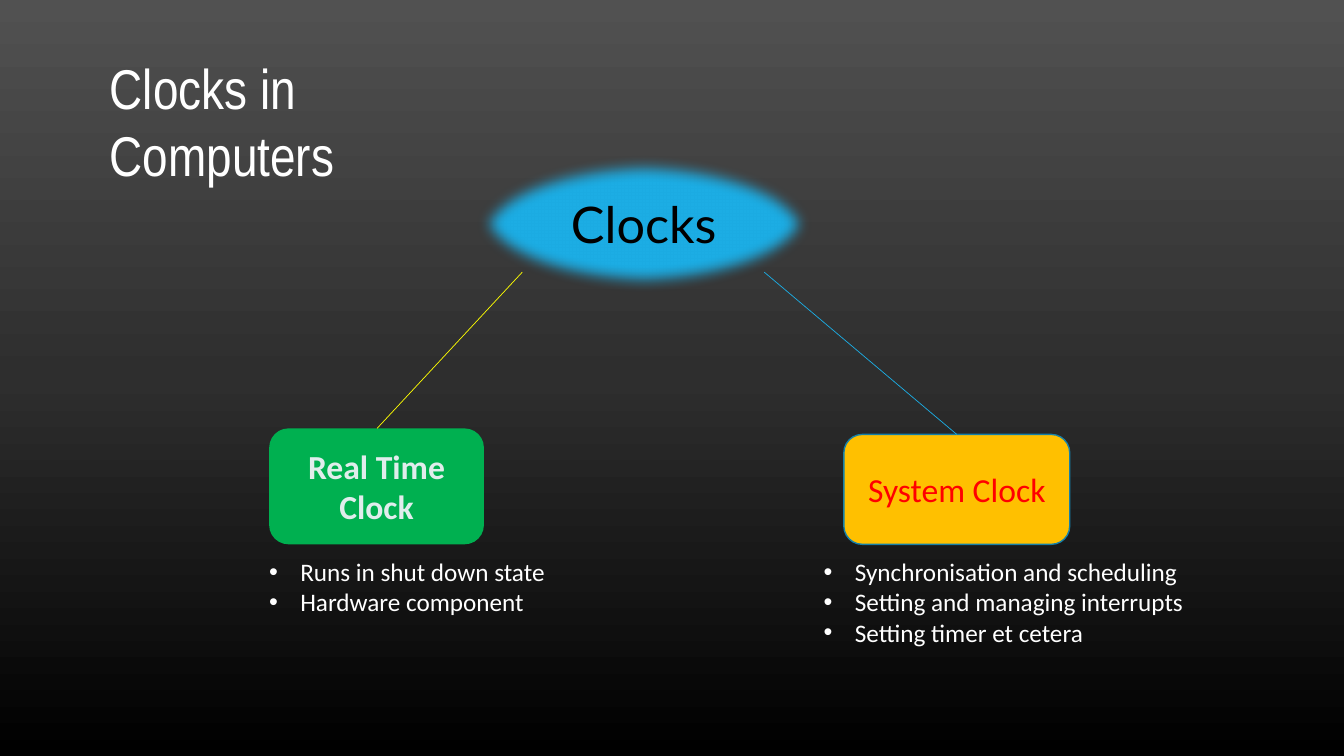
from copy import deepcopy
from dataclasses import dataclass

from lxml import etree
from pptx import Presentation
from pptx.dml.color import RGBColor
from pptx.enum.shapes import MSO_CONNECTOR, MSO_SHAPE
from pptx.enum.text import MSO_ANCHOR, PP_ALIGN
from pptx.oxml.ns import qn
from pptx.shapes.base import BaseShape
from pptx.slide import Slide
from pptx.text.text import TextFrame
from pptx.util import Emu, Inches, Pt

ELLIPSE = MSO_SHAPE.OVAL
ROUNDED = MSO_SHAPE.ROUNDED_RECTANGLE
STRAIGHT = MSO_CONNECTOR.STRAIGHT
MIDDLE, TOP = MSO_ANCHOR.MIDDLE, MSO_ANCHOR.TOP
CENTER, LEFT = PP_ALIGN.CENTER, PP_ALIGN.LEFT


@dataclass(frozen=True)
class Theme:
    """Colours, type styles and line widths of the slide."""
    background = ((0, "515151"), (0.5, "2E2E2E"), (1, "000000"))
    blue = "1CADE4"
    outline = "1580A9"
    green = "00B050"
    amber = "FFC000"
    yellow = "FFFF00"
    title = ({"name": "Arial Narrow", "size": Pt(40)}, "FFFFFF")
    root = ({"name": "Lato", "size": Pt(36)}, "000000")
    real_time = ({"name": "Calibri", "size": Pt(24), "bold": True}, "E0EDEC")
    system = ({"name": "Calibri", "size": Pt(24)}, "FF0000")
    body = ({"name": "Calibri", "size": Pt(18)}, "FFFFFF")
    outline_width = Pt(1)
    branch_width = Pt(0.5)
    soft_edge = Pt(10)
    bullet_indent = Inches(0.31)


THEME = Theme()


@dataclass(frozen=True)
class Node:
    """A filled shape with a centred label."""
    box: tuple[float, float, float, float]
    kind: MSO_SHAPE
    label: str
    style: tuple[dict, str]
    fill: str
    outline: str | None = None
    soft: bool = False


@dataclass(frozen=True)
class Branch:
    """A line between two points."""
    start: tuple[float, float]
    end: tuple[float, float]
    color: str


@dataclass(frozen=True)
class TextBlock:
    """A free text box, bulleted or plain."""
    box: tuple[float, float, float, float]
    lines: tuple[str, ...]
    style: tuple[dict, str]
    bulleted: bool = True


NODES = (
    Node((4.69, 1.54, 3.39, 1.36), ELLIPSE, "Clocks", THEME.root,
         THEME.blue, THEME.outline, True),
    Node((2.67, 4.25, 2.13, 1.15), ROUNDED, "Real Time Clock",
         THEME.real_time, THEME.green),
    Node((8.37, 4.31, 2.24, 1.09), ROUNDED, "System Clock",
         THEME.system, THEME.amber, THEME.outline),
)
BRANCHES = (
    Branch((5.18, 2.7), (3.74, 4.25), THEME.yellow),
    Branch((7.58, 2.7), (9.49, 4.31), THEME.blue),
)
TEXT_BLOCKS = (
    TextBlock((0.99, 0.48, 3.82, 0.77), ("Clocks in Computers",),
              THEME.title, False),
    TextBlock((8.07, 5.47, 3.82, 1.01),
              ("Synchronisation and scheduling",
               "Setting and managing interrupts",
               "Setting timer et cetera"), THEME.body),
    TextBlock((2.57, 5.47, 2.97, 0.71),
              ("Runs in shut down state", "Hardware component"), THEME.body),
)


def paint_background(slide: Slide) -> None:
    """Fill the background with a vertical three-stop gradient."""
    fill = slide.background.fill
    fill.gradient()
    fill.gradient_angle = 270
    stop_list = next(slide.element.iter(qn("a:gsLst")))
    stop_list.append(deepcopy(stop_list[0]))
    for stop, (position, color) in zip(fill.gradient_stops, THEME.background):
        stop.position = position
        stop.color.rgb = RGBColor.from_string(color)


def write_text(frame: TextFrame, lines: tuple[str, ...],
               style: tuple[dict, str], alignment: PP_ALIGN,
               bulleted: bool = False) -> None:
    """Write one styled paragraph per line."""
    frame.word_wrap = True
    font_values, color = style
    for index, line in enumerate(lines):
        paragraph = frame.add_paragraph() if index else frame.paragraphs[0]
        paragraph.alignment = alignment
        if bulleted:
            properties = paragraph._p.get_or_add_pPr()
            properties.set("marL", str(THEME.bullet_indent))
            properties.set("indent", str(-THEME.bullet_indent))
            etree.SubElement(properties, qn("a:buFont"), typeface="Arial")
            etree.SubElement(properties, qn("a:buChar"), char="•")
        run = paragraph.add_run()
        run.text = line
        for name, value in font_values.items():
            setattr(run.font, name, value)
        run.font.color.rgb = RGBColor.from_string(color)


def soften_edge(shape: BaseShape, radius: Emu) -> None:
    """Fade the rim of a shape over the given radius."""
    effects = shape._element.spPr.find(qn("a:effectLst"))
    etree.SubElement(effects, qn("a:softEdge"), rad=str(int(radius)))


def draw_node(slide: Slide, node: Node) -> None:
    """Draw a filled shape and its label."""
    shape = slide.shapes.add_shape(node.kind, *map(Inches, node.box))
    shape.shadow.inherit = False
    shape.fill.solid()
    shape.fill.fore_color.rgb = RGBColor.from_string(node.fill)
    if node.outline:
        shape.line.color.rgb = RGBColor.from_string(node.outline)
        shape.line.width = THEME.outline_width
    else:
        shape.line.fill.background()
    if node.soft:
        soften_edge(shape, THEME.soft_edge)
    shape.text_frame.vertical_anchor = MIDDLE
    write_text(shape.text_frame, (node.label,), node.style, CENTER)


def draw_branch(slide: Slide, branch: Branch) -> None:
    """Draw a thin line from the root to a clock."""
    connector = slide.shapes.add_connector(
        STRAIGHT, *map(Inches, branch.start + branch.end))
    connector.line.color.rgb = RGBColor.from_string(branch.color)
    connector.line.width = THEME.branch_width
    etree.SubElement(connector._element.spPr, qn("a:effectLst"))


def draw_text_block(slide: Slide, block: TextBlock) -> None:
    """Draw a text box."""
    frame = slide.shapes.add_textbox(*map(Inches, block.box)).text_frame
    frame.vertical_anchor = TOP
    write_text(frame, block.lines, block.style, LEFT, block.bulleted)


def main() -> None:
    """Build the slide and save it."""
    presentation = Presentation()
    presentation.slide_width = Inches(13.33)
    presentation.slide_height = Inches(7.5)
    slide = presentation.slides.add_slide(presentation.slide_layouts[6])
    paint_background(slide)
    for node in NODES:
        draw_node(slide, node)
    for branch in BRANCHES:
        draw_branch(slide, branch)
    for block in TEXT_BLOCKS:
        draw_text_block(slide, block)
    presentation.save("out.pptx")


if __name__ == "__main__":
    main()
